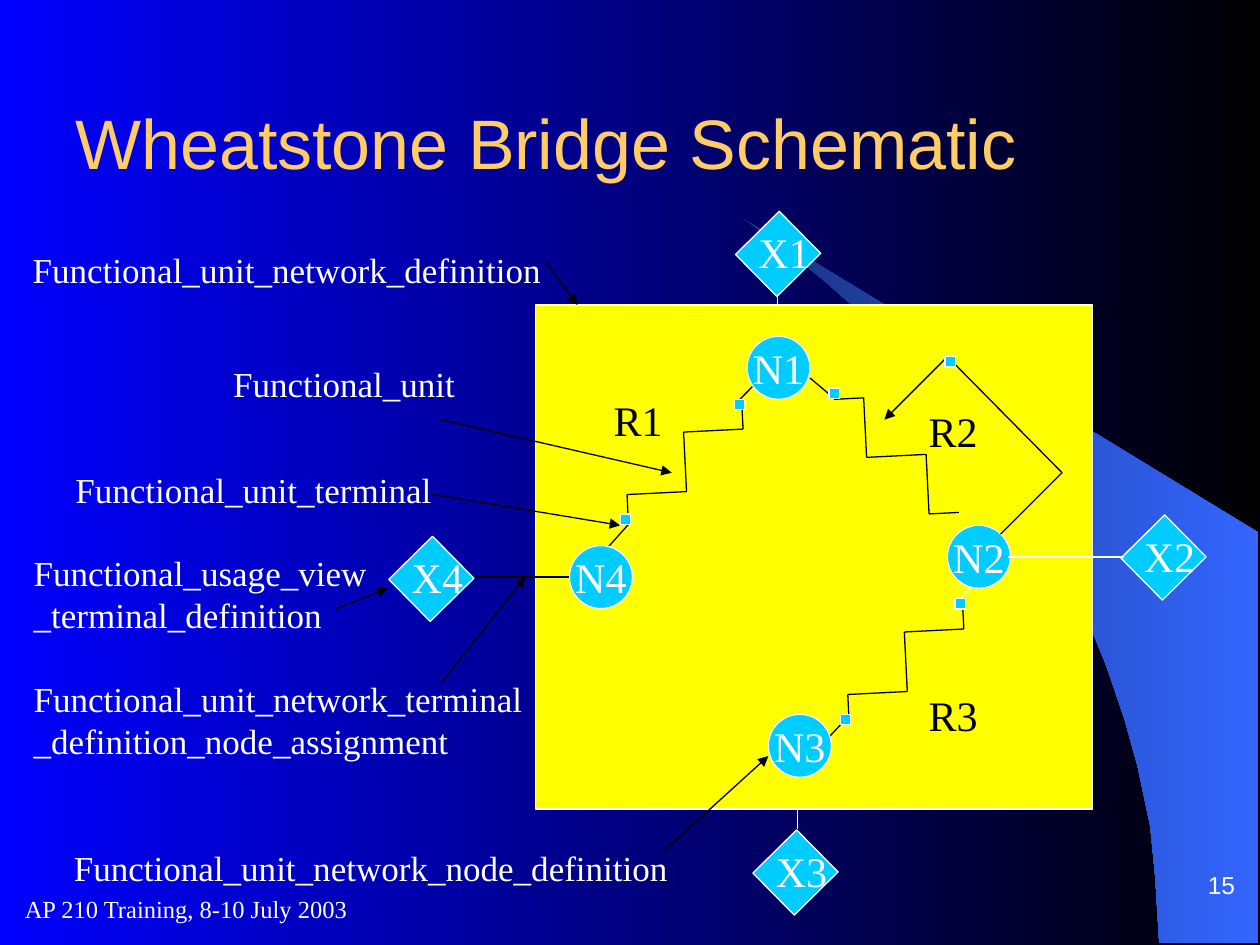
from lxml.etree import SubElement
from pptx import Presentation
from pptx.dml.color import RGBColor
from pptx.enum.shapes import MSO_CONNECTOR, MSO_SHAPE
from pptx.enum.text import MSO_ANCHOR, MSO_AUTO_SIZE, PP_ALIGN
from pptx.oxml.ns import qn
from pptx.util import Cm, Pt

BLACK = RGBColor(0x00, 0x00, 0x00)
WHITE = RGBColor(0xFF, 0xFF, 0xFF)
BLUE = RGBColor(0x00, 0x00, 0xFF)
NAVY = RGBColor(0x19, 0x32, 0x7E)
SKY = RGBColor(0x33, 0x66, 0xFF)
CYAN = RGBColor(0x00, 0xCC, 0xFF)
YELLOW = RGBColor(0xFF, 0xFF, 0x00)
GOLD = RGBColor(0xFF, 0xCC, 0x66)

SERIF = "Times New Roman"
SANS = "Arial"

# Curved band at the right edge
BAND = [(23.37, 19), (25.37, 19.02), (25.37, 10.74), (14.96, 4.39), (15.85, 5.05),
        (16.59, 5.64), (17.4, 6.35), (18.19, 7.11), (19.35, 8.38), (20.4, 9.75),
        (21.13, 10.95), (21.79, 12.17), (22.3, 13.41), (22.68, 14.53),
        (22.94, 15.47), (23.19, 16.66), (23.29, 17.68)]

# Steps of a resistor that climbs to the right
STEPS = [(-0.03, -0.6), (1.2, -0.06), (-0.06, -1.2), (1.2, -0.06), (-0.03, -0.6)]

NODES = [("N1", 15.06, 6.78), ("N2", 19.1, 10.59), ("N3", 15.49, 14.4), ("N4", 11.48, 11)]
PORTS = [("X1", 15.04, 4.45), ("X2", 22.81, 10.57), ("X3", 15.39, 16.92), ("X4", 8.05, 11)]
PARTS = [("R1", 12.12, 7.82), ("R2", 18.47, 8.05), ("R3", 18.47, 13.77)]
TERMS = [(14.81, 8.05), (12.5, 10.36), (16.71, 7.82),
         (19.05, 7.19), (19.25, 12.07), (16.94, 14.4)]

# Text, left, top, width, height, wrap
LABELS = [
    ("Functional_unit_network_node_definition", 1.24, 16.94, 12.7, 1.12, False),
    ("Functional_unit", 4.45, 7.19, 4.98, 1.12, False),
    ("Functional_unit_network_definition", 0.41, 4.88, 10.95, 1.12, False),
    ("Functional_unit_terminal", 1.27, 9.32, 7.7, 1.12, False),
    ("Functional_usage_view_terminal_definition", 0.43, 11, 7.42, 1.96, True),
    ("Functional_unit_network_terminal\n_definition_node_assignment",
     0.43, 13.54, 10.36, 1.96, True),
]
ARROWS = [
    [(13.39, 17.15), (15.49, 15.24)],
    [(8.89, 8.46), (13.54, 9.53)],
    [(11, 5.28), (11.64, 6.15)],
    [(8.69, 9.96), (12.5, 10.59)],
    [(6.78, 12.27), (7.82, 11.86)],
    [(8.89, 13.77), (10.59, 11.63)],
    [(20.17, 10.77), (21.41, 9.53), (19.1, 7.19), (17.83, 8.46)],
]
# Leads from the ports to the nodes
LEADS = [
    ([(9.6, 11.63), (11.48, 11.63)], BLACK),
    ([(15.67, 5.92), (15.67, 6.78)], WHITE),
    ([(20.32, 11.23), (22.66, 11.23)], WHITE),
    ([(16.08, 16.71), (16.08, 15.67)], WHITE),
]


def blend(fill, left, right):
    fill.gradient()
    fill.gradient_angle = 0
    for stop, color in zip(fill.gradient_stops, (left, right)):
        stop.color.rgb = color


def write(frame, text, size=24, font=SERIF, color=WHITE, align=PP_ALIGN.LEFT,
          anchor=MSO_ANCHOR.TOP, wrap=False, grow=False):
    frame.word_wrap = wrap
    frame.vertical_anchor = anchor
    frame.auto_size = MSO_AUTO_SIZE.SHAPE_TO_FIT_TEXT if grow else MSO_AUTO_SIZE.NONE
    para = frame.paragraphs[0]
    para.text = text
    para.alignment = align
    for run in para.runs:
        run.font.size = Pt(size)
        run.font.name = font
        run.font.color.rgb = color


def label(slide, text, x, y, w, h, **style):
    box = slide.shapes.add_textbox(Cm(x), Cm(y), Cm(w), Cm(h))
    write(box.text_frame, text, **style)
    return box


def block(slide, kind, x, y, w, h, fill=CYAN):
    shape = slide.shapes.add_shape(kind, Cm(x), Cm(y), Cm(w), Cm(h))
    shape.shadow.inherit = False
    shape.fill.solid()
    shape.fill.fore_color.rgb = fill
    shape.line.color.rgb = WHITE
    shape.line.width = Pt(0.75)
    return shape


def wire(slide, points, color=BLACK, arrow=False):
    """Draw straight lines through the points; return the last one."""
    for (x1, y1), (x2, y2) in zip(points, points[1:]):
        line = slide.shapes.add_connector(
            MSO_CONNECTOR.STRAIGHT, Cm(x1), Cm(y1), Cm(x2), Cm(y2))
        line.line.color.rgb = color
        line.line.width = Pt(0.75)
        SubElement(line._element.spPr, qn("a:effectLst"))
    if arrow:
        SubElement(line.line._get_or_add_ln(), qn("a:tailEnd"), type="triangle")
    return line


def zigzag(slide, x, y, turn=False):
    points = [(x, y)]
    for dx, dy in STEPS:
        if turn:
            dx, dy = -dy, dx
        x, y = x + dx, y + dy
        points.append((x, y))
    wire(slide, points)


def port(slide, name, x, y):
    shape = block(slide, MSO_SHAPE.RECTANGLE, x + 0.05, y + 0.05, 1.19, 1.24)
    shape.rotation = 45.4
    label(slide, name, x, y, 1.55, 1.27, grow=True)


def band(slide):
    points = [(Cm(x), Cm(y)) for x, y in BAND]
    pen = slide.shapes.build_freeform(*points[0])
    pen.add_line_segments(points[1:], close=True)
    shape = pen.convert_to_shape()
    shape.shadow.inherit = False
    blend(shape.fill, NAVY, SKY)
    shape.line.fill.background()


def main():
    deck = Presentation()
    deck.slide_width, deck.slide_height = Cm(25.4), Cm(19.05)
    slide = deck.slides.add_slide(deck.slide_layouts[6])

    # Backdrop and title
    blend(slide.background.fill, BLUE, BLACK)
    band(slide)
    block(slide, MSO_SHAPE.RECTANGLE, 10.8, 6.15, 11.23, 10.16, fill=YELLOW)
    label(slide, "Wheatstone Bridge Schematic", 1.27, 1.27, 22.86, 3.18, size=40,
          font=SANS, color=GOLD, anchor=MSO_ANCHOR.MIDDLE, wrap=True)

    # Resistors and their wires
    zigzag(slide, 12.67, 10.57)
    zigzag(slide, 17.12, 14.6)
    zigzag(slide, 16.81, 8.05, turn=True)
    wire(slide, [(12.24, 11.05), (12.67, 10.57)])
    wire(slide, [(16.71, 14.86), (17.14, 14.4)])
    left = wire(slide, [(15.29, 7.67), (14.94, 8.05)])
    right = wire(slide, [(16.33, 7.62), (16.81, 8.05)])
    low = wire(slide, [(19.79, 11.61), (19.38, 12.07)], color=WHITE)

    # Nodes and part names
    for name, x, y in NODES:
        node = block(slide, MSO_SHAPE.FLOWCHART_CONNECTOR, x, y, 1.27, 1.27)
        write(node.text_frame, name, align=PP_ALIGN.CENTER, anchor=MSO_ANCHOR.MIDDLE)
    for name, x, y in PARTS:
        label(slide, name, x, y, 1.5, 1.27, color=BLACK, grow=True)

    # Callouts
    for text, x, y, w, h, wrap in LABELS:
        label(slide, text, x, y, w, h, size=20, wrap=wrap, grow=True)
    for points in ARROWS:
        wire(slide, points, arrow=True)

    # Ports and leads
    for name, x, y in PORTS:
        port(slide, name, x, y)
    for points, color in LEADS:
        wire(slide, points, color=color)

    # Terminals, joined to the wires that meet them
    dots = [block(slide, MSO_SHAPE.RECTANGLE, x, y, 0.21, 0.21) for x, y in TERMS]
    left.end_connect(dots[0], 0)
    right.end_connect(dots[2], 2)
    low.end_connect(dots[4], 0)

    # Footer
    label(slide, "AP 210 Training, 8-10 July 2003", 0.25, 17.68, 11.86, 1.27,
          size=14, anchor=MSO_ANCHOR.MIDDLE, wrap=True)
    page = label(slide, "15", 19.94, 17.07, 5.21, 1.07, size=14, font=SANS,
                 align=PP_ALIGN.RIGHT, anchor=MSO_ANCHOR.BOTTOM, wrap=True)
    page.text_frame.margin_top = page.text_frame.margin_bottom = Cm(0)

    deck.save("out.pptx")


if __name__ == "__main__":
    main()
